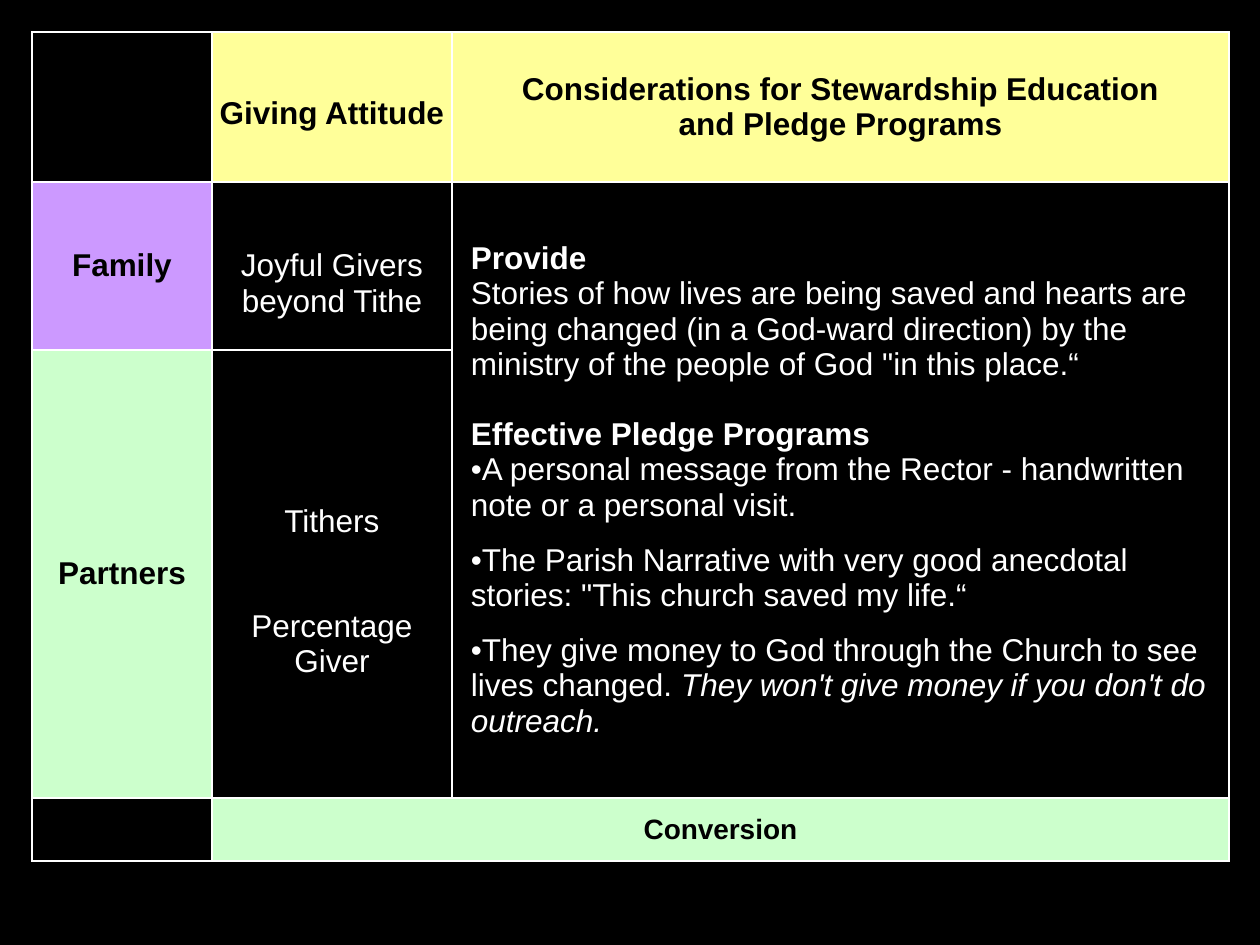
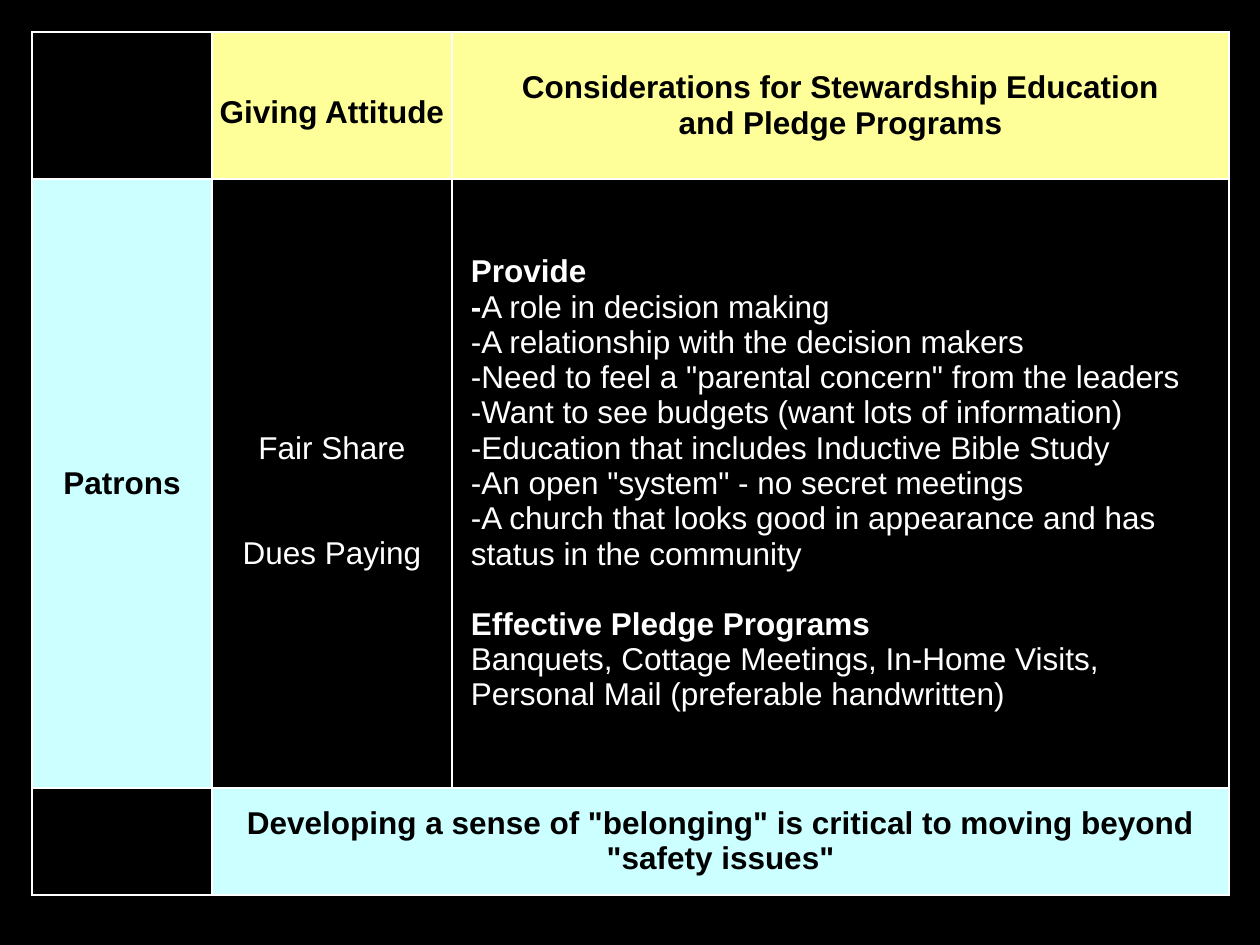
"""Build two stewardship table slides."""
from lxml import etree
from pptx import Presentation
from pptx.dml.color import RGBColor
from pptx.enum.text import MSO_ANCHOR, PP_ALIGN
from pptx.oxml.ns import qn
from pptx.util import Emu, Pt

MIDDLE = MSO_ANCHOR.MIDDLE
CENTER, LEFT = PP_ALIGN.CENTER, PP_ALIGN.LEFT

PIXEL = 914400 / 126
FONT = "Arial"
BLACK, WHITE = "000000", "FFFFFF"
YELLOW, PURPLE, GREEN, AQUA = "FFFF99", "CC99FF", "CCFFCC", "CCFFFF"

TABLE_LEFT = TABLE_TOP = 32
COLUMN_WIDTHS = (180, 240, 777)
DETAIL_MARGIN = 19
LINE = 35          # height of one line of body text
SMALL_LINE = 14    # drop of the "Giving Attitude" heading
SECTION_GAP, BULLET_GAP, ATTITUDE_GAP = 20, 11.3, 40  # points


def px(length):
    """Turn picture pixels into EMU."""
    return Emu(round(length * PIXEL))


def rgb(value):
    """Turn a hex string into a colour."""
    return RGBColor.from_string(value)


def part(text, gap=0, **style):
    """Describe a paragraph of one run, with a gap in points before it."""
    return gap, [(text, style)]


def write(cell, paragraphs, size=18, color=WHITE, bold=False, align=CENTER,
          margin=0, drop=0):
    """Fill a cell with formatted text; drop adds to the top margin."""
    cell.vertical_anchor = MIDDLE
    cell.margin_left = cell.margin_right = cell.margin_bottom = px(margin)
    cell.margin_top = px(margin + drop)
    frame = cell.text_frame
    for index, (gap, runs) in enumerate(paragraphs):
        paragraph = frame.add_paragraph() if index else frame.paragraphs[0]
        paragraph.alignment = align
        paragraph.space_before = Pt(gap)
        paragraph.font.size = Pt(size)
        for text, style in runs:
            for number, line in enumerate(text.split("\n")):
                if number:
                    paragraph.add_line_break()
                run = paragraph.add_run()
                run.text = line
                run.font.name = FONT
                run.font.size = Pt(size)
                run.font.color.rgb = rgb(color)
                run.font.bold = style.get("bold", bold)
                run.font.italic = style.get("italic", False)


def paint(cell, color):
    """Set the fill of a cell."""
    cell.fill.solid()
    cell.fill.fore_color.rgb = rgb(color)


def label(cell, text, color, **style):
    """Write a bold black label on a coloured cell."""
    paint(cell, color)
    write(cell, [part(text)], color=BLACK, bold=True, **style)


def add_borders(cell):
    """Draw thin white lines on the four sides of a cell."""
    properties = cell._tc.get_or_add_tcPr()
    for side in ("a:lnL", "a:lnR", "a:lnT", "a:lnB"):
        line = etree.SubElement(properties, qn(side), w=str(Pt(1)))
        solid = etree.SubElement(line, qn("a:solidFill"))
        etree.SubElement(solid, qn("a:srgbClr"), val=WHITE)


def add_table_slide(presentation, row_heights, footer, footer_color,
                    footer_size=18):
    """Add a black slide whose table has its headings and footer row."""
    slide = presentation.slides.add_slide(presentation.slide_layouts[6])
    slide.background.fill.solid()
    slide.background.fill.fore_color.rgb = rgb(BLACK)
    table = slide.shapes.add_table(
        len(row_heights), len(COLUMN_WIDTHS), px(TABLE_LEFT), px(TABLE_TOP),
        px(sum(COLUMN_WIDTHS)), px(sum(row_heights))).table
    table.first_row = table.horz_banding = False
    for column, width in zip(table.columns, COLUMN_WIDTHS):
        column.width = px(width)
    for row, height in zip(table.rows, row_heights):
        row.height = px(height)
    for cell in table.iter_cells():
        add_borders(cell)
        cell.fill.background()

    label(table.cell(0, 1), "Giving Attitude", YELLOW, drop=SMALL_LINE)
    label(table.cell(0, 2),
          "Considerations for Stewardship Education\nand Pledge Programs", YELLOW)
    last = len(row_heights) - 1
    table.cell(last, 1).merge(table.cell(last, 2))
    label(table.cell(last, 1), footer, footer_color, size=footer_size)
    return table


def write_attitudes(cell, first, second):
    """Write two giving attitudes, well apart."""
    write(cell, [part(first), part(second, ATTITUDE_GAP)], drop=LINE)


def write_details(cell, provide, programs):
    """Write the two titled sections of the wide column."""
    write(cell, [part("Provide", bold=True), *provide,
                 part("Effective Pledge Programs", SECTION_GAP, bold=True),
                 *programs], align=LEFT, margin=DETAIL_MARGIN)


def build_family_and_partners(presentation):
    """Build the slide on family and partners."""
    table = add_table_slide(presentation, (150, 168, 448, 63),
                            "Conversion", GREEN, footer_size=16)
    label(table.cell(1, 0), "Family", PURPLE)
    label(table.cell(2, 0), "Partners", GREEN)
    write(table.cell(1, 1), [part("Joyful Givers\nbeyond Tithe")], drop=LINE)
    write_attitudes(table.cell(2, 1), "Tithers", "Percentage Giver")
    table.cell(1, 2).merge(table.cell(2, 2))
    write_details(
        table.cell(1, 2),
        [part("Stories of how lives are being saved and hearts are being "
              "changed (in a God-ward direction) by the ministry of the "
              "people of God \"in this place.\u201c")],
        [part("•A personal message from the Rector - handwritten note or a "
              "personal visit."),
         part("•The Parish Narrative with very good anecdotal stories: "
              "\"This church saved my life.\u201c", BULLET_GAP),
         (BULLET_GAP, [
             ("•They give money to God through the Church to see lives "
              "changed. ", {}),
             ("They won't give money if you don't do outreach.",
              {"italic": True})])])


def build_patrons(presentation):
    """Build the slide on patrons."""
    table = add_table_slide(
        presentation, (147, 609, 107),
        "Developing a sense of \"belonging\" is critical to moving beyond "
        "\"safety issues\"", AQUA)
    label(table.cell(1, 0), "Patrons", AQUA)
    write_attitudes(table.cell(1, 1), "Fair Share", "Dues Paying")
    needs = ("A relationship with the decision makers",
             "Need to feel a \"parental concern\" from the leaders",
             "Want to see budgets (want lots of information)",
             "Education that includes Inductive Bible Study",
             "An open \"system\" - no secret meetings",
             "A church that looks good in appearance and has status in the "
             "community")
    write_details(
        table.cell(1, 2),
        [(0, [("-", {"bold": True}), ("A role in decision making", {})]),
         *(part("-" + need) for need in needs)],
        [part("Banquets, Cottage Meetings, In-Home Visits, Personal Mail "
              "(preferable handwritten)")])


def main():
    """Build and save the presentation."""
    presentation = Presentation()
    presentation.slide_width = px(1260)
    presentation.slide_height = px(945)
    build_family_and_partners(presentation)
    build_patrons(presentation)
    presentation.save("out.pptx")


main()
